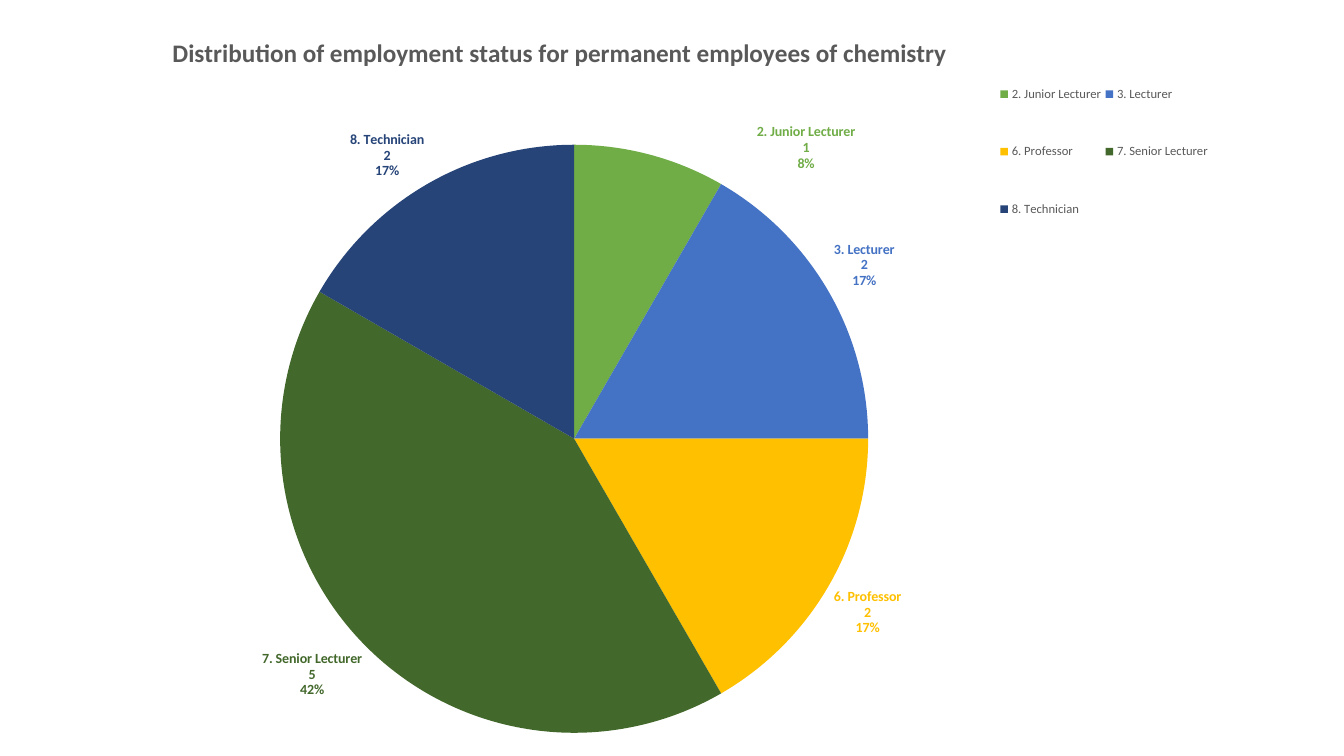
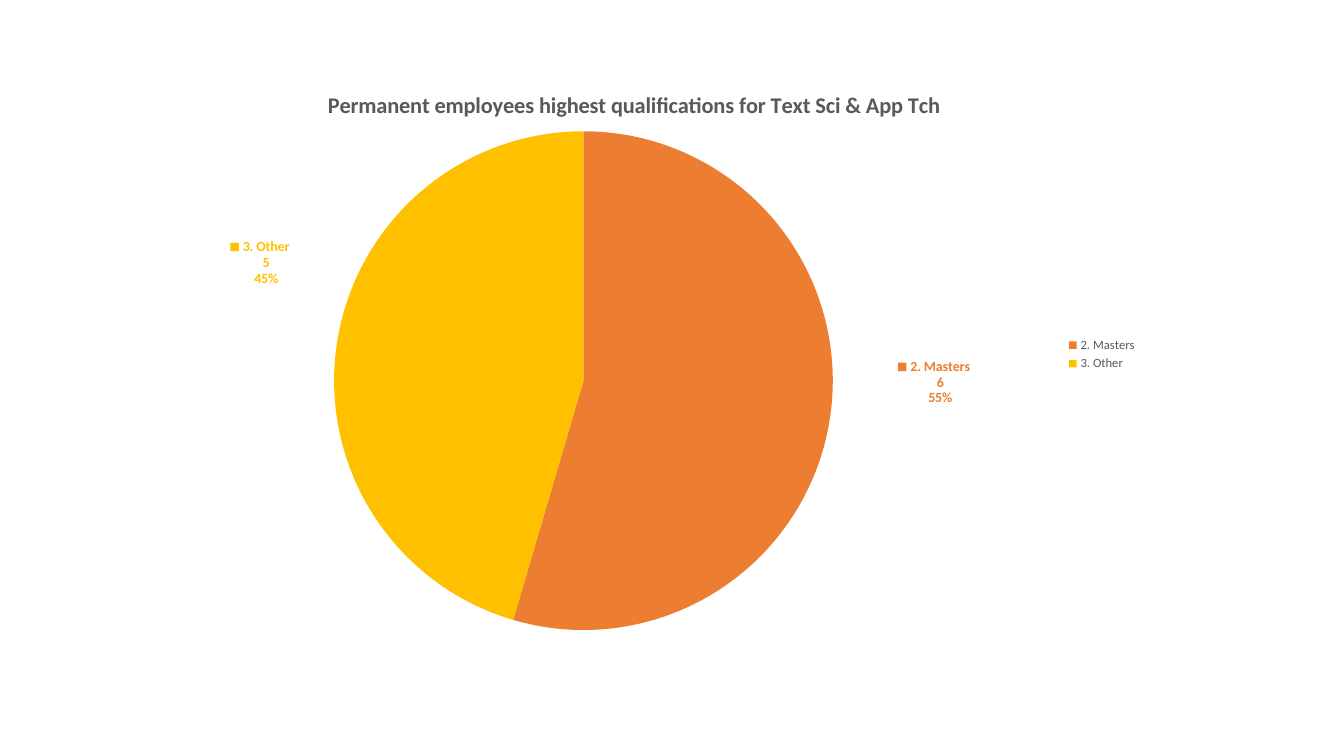
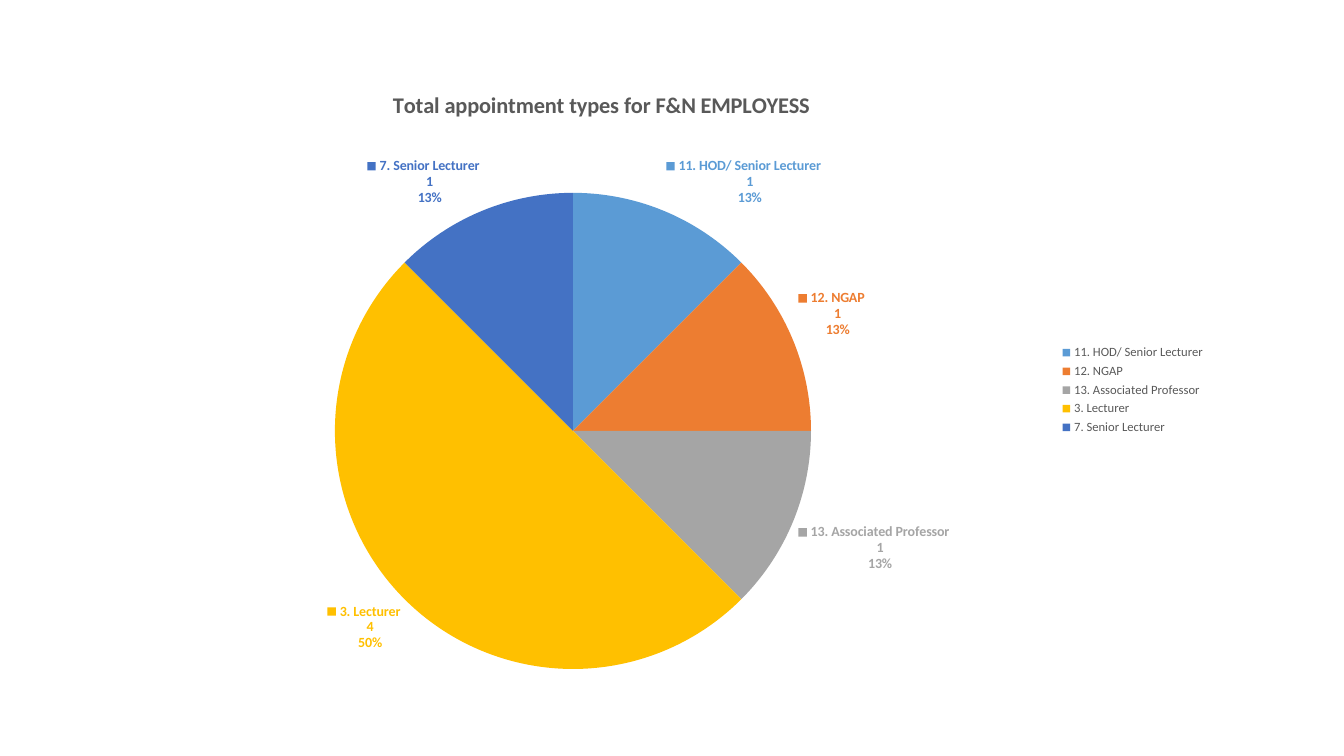
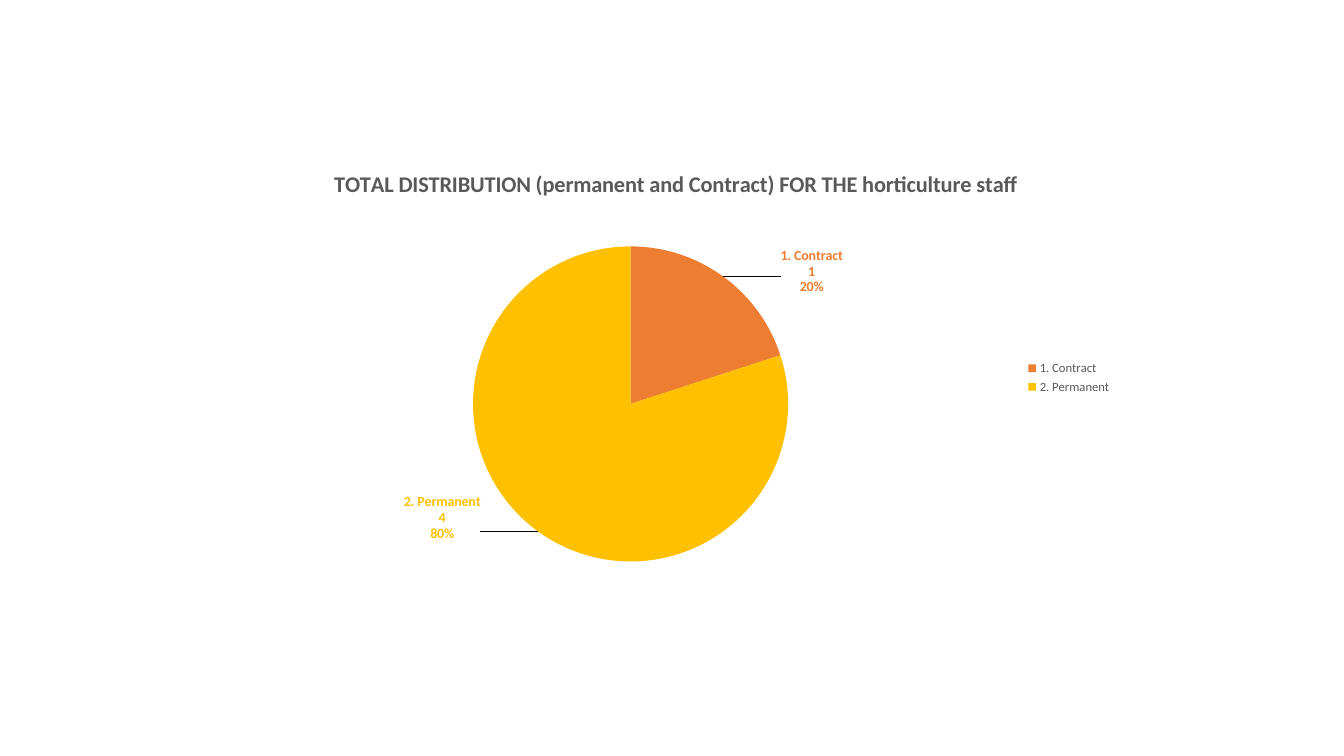
from pptx import Presentation
from pptx.chart.data import CategoryChartData
from pptx.dml.color import RGBColor
from pptx.enum.chart import XL_CHART_TYPE, XL_LABEL_POSITION, XL_LEGEND_POSITION
from pptx.oxml import parse_xml
from pptx.oxml.ns import nsdecls
from pptx.util import Cm, Pt

PIE = XL_CHART_TYPE.PIE
OUTSIDE = XL_LABEL_POSITION.OUTSIDE_END
RIGHT = XL_LEGEND_POSITION.RIGHT

GRAY = RGBColor(0x59, 0x59, 0x59)
SILVER = RGBColor(0xA5, 0xA5, 0xA5)
GREEN = RGBColor(0x70, 0xAD, 0x47)
FOREST = RGBColor(0x43, 0x68, 0x2B)
BLUE = RGBColor(0x44, 0x72, 0xC4)
NAVY = RGBColor(0x26, 0x44, 0x78)
SKY = RGBColor(0x5B, 0x9B, 0xD5)
ORANGE = RGBColor(0xED, 0x7D, 0x31)
GOLD = RGBColor(0xFF, 0xC0, 0x00)


def layout(x, y, w=None, h=None, inner=False, edge=True):
    """Manual chart layout in fractions of the chart; edge=False makes an offset."""
    parts = '<c:layoutTarget val="inner"/>' if inner else ""
    if edge:
        parts += '<c:xMode val="edge"/><c:yMode val="edge"/>'
    for tag, value in zip("xywh", (x, y, w, h)):
        if value is not None:
            parts += f'<c:{tag} val="{value:.4f}"/>'
    return parse_xml(
        f'<c:layout {nsdecls("c")}><c:manualLayout>{parts}</c:manualLayout></c:layout>')


def style(font, size, color, bold=False):
    font.name, font.size, font.bold = "Calibri", Pt(size), bold
    font.color.rgb = color


def write(frame, text, size=16, color=GRAY, bold=True):
    frame.text = text
    style(frame.paragraphs[0].runs[0].font, size, color, bold)


class Deck:
    def __init__(self):
        self.prs = Presentation()
        self.prs.slide_width, self.prs.slide_height = Cm(33.87), Cm(19.05)

    def slide(self):
        self.page = self.prs.slides.add_slide(self.prs.slide_layouts[6])

    def pie(self, box, rows):
        """Add a pie from (name, value, colour) rows."""
        data = CategoryChartData(number_format="General")
        data.categories = [name for name, _, _ in rows]
        data.add_series("Series 1", [value for _, value, _ in rows])
        self.box = box
        self.chart = self.page.shapes.add_chart(
            PIE, *(Cm(side) for side in box), data).chart
        style(self.chart.font, 10, GRAY)
        plot = self.chart.plots[0]
        plot.vary_by_categories = True
        self.points = plot.series[0].points
        for i, (_, _, color) in enumerate(rows):
            fill = self.points[i].format.fill
            fill.solid()
            fill.fore_color.rgb = color

    def share(self, x, y, w=None, h=None):
        """Turn slide centimetres into fractions of the chart."""
        left, top, wide, high = self.box
        place = [(x - left) / wide, (y - top) / high]
        return place if w is None else place + [w / wide, h / high]

    def place(self, tag, after, *spot):
        """Put a chart part at a place on the slide."""
        part = self.chart.element.xpath(f".//c:{tag}")[0]
        for old in part.xpath("./c:layout"):
            part.remove(old)
        new = layout(*self.share(*spot), inner=tag == "plotArea")
        if after:
            part.xpath(f"./c:{after}")[0].addnext(new)
        else:
            part.insert(0, new)

    def title(self, text, spot, size):
        self.chart.has_title = True
        write(self.chart.chart_title.text_frame, text, size=size)
        self.place("title", "tx", *spot)

    def legend(self, spot):
        self.chart.has_legend = True
        legend = self.chart.legend
        legend.position, legend.include_in_layout = RIGHT, False
        style(legend.font, 9, GRAY)
        if spot:
            self.place("legend", "legendPos", *spot)

    def labels(self, rows, shifts, keys, leads):
        """Label every slice; shifts holds offsets by slice number."""
        common = self.chart.plots[0].series[0].data_labels
        style(common.font, 10, rows[0][2], True)
        common.position = OUTSIDE
        for i, (_, _, color) in enumerate(rows):
            label = self.points[i].data_label
            style(label.font, 10, color, True)
            label.position = OUTSIDE
        root = self.chart.element
        flags = {"showLegendKey": keys, "showVal": True, "showCatName": True,
                 "showSerName": False, "showPercent": True, "showLeaderLines": leads}
        for tag, on in flags.items():
            for flag in root.xpath(f".//c:{tag}"):
                flag.set("val", str(int(on)))
        for last in root.xpath(".//c:showBubbleSize"):
            last.addnext(parse_xml(f'<c:separator {nsdecls("c")}>\n</c:separator>'))
        for i, shift in shifts.items():
            mark = root.xpath(f'.//c:dLbl/c:idx[@val="{i}"]')[0]
            mark.addnext(layout(*shift, edge=False))

    def report(self, title, rows, box, head, disc, size=16, legend=None,
               shifts=None, keys=False, leads=False):
        """Build a slide; head is the title corner, disc the pie's corner and width."""
        self.slide()
        self.pie(box, rows)
        self.title(title, head, size)
        self.place("plotArea", None, *disc, disc[-1])
        self.legend(legend)
        self.labels(rows, shifts or {}, keys, leads)


def main():
    deck = Deck()
    deck.report(
        "Distribution of employment status for permanent employees of chemistry",
        [("2. Junior Lecturer", 1, GREEN), ("3. Lecturer", 2, BLUE),
         ("6. Professor", 2, GOLD), ("7. Senior Lecturer", 5, FOREST),
         ("8. Technician", 2, NAVY)],
        box=(1.14, 0.43, 29.41, 18.62), head=(4.23, 0.78), disc=(7.06, 3.65, 14.82),
        size=18, legend=(25.1, 1.11, 5.54, 5.42), shifts={0: (0.09, 0.03)})
    deck.report(
        "Permanent employees highest qualifications for Text Sci & App Tch",
        [("2. Masters", 6, ORANGE), ("3. Other", 5, GOLD)],
        box=(2.9, 1.6, 26.01, 14.66), head=(8.16, 2.15), disc=(8.42, 3.31, 12.57),
        shifts={0: (0.06, -0.1), 1: (-0.04, -0.1)}, keys=True)
    deck.report(
        "Total appointment types for F&N EMPLOYESS",
        [("11. HOD/ Senior Lecturer", 1, SKY), ("12. NGAP", 1, ORANGE),
         ("13. Associated Professor", 1, SILVER), ("3. Lecturer", 4, GOLD),
         ("7. Senior Lecturer", 1, BLUE)],
        box=(3.43, 2.03, 27.2, 15.6), head=(9.8, 2.17), disc=(8.44, 4.86, 12),
        keys=True)
    deck.report(
        "TOTAL DISTRIBUTION (permanent and Contract) FOR THE horticulture staff",
        [("1. Contract", 1, ORANGE), ("2. Permanent", 4, GOLD)],
        box=(5.61, 3.66, 22.66, 11.71), head=(8.32, 4.16), disc=(11.92, 6.21, 7.94),
        shifts={0: (0.06, 0.05), 1: (-0.06, -0.09)}, leads=True)
    deck.prs.save("out.pptx")


if __name__ == "__main__":
    main()
